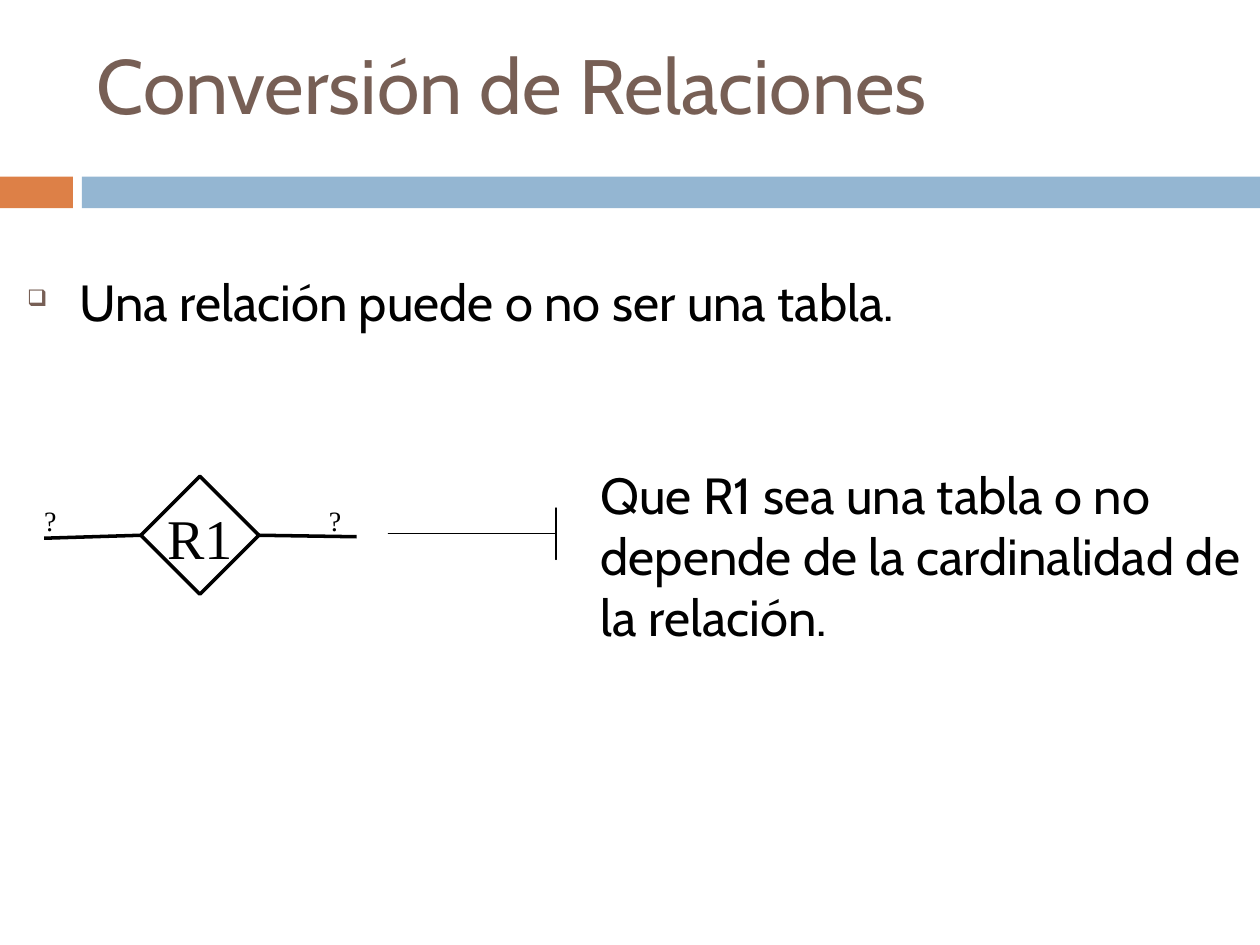
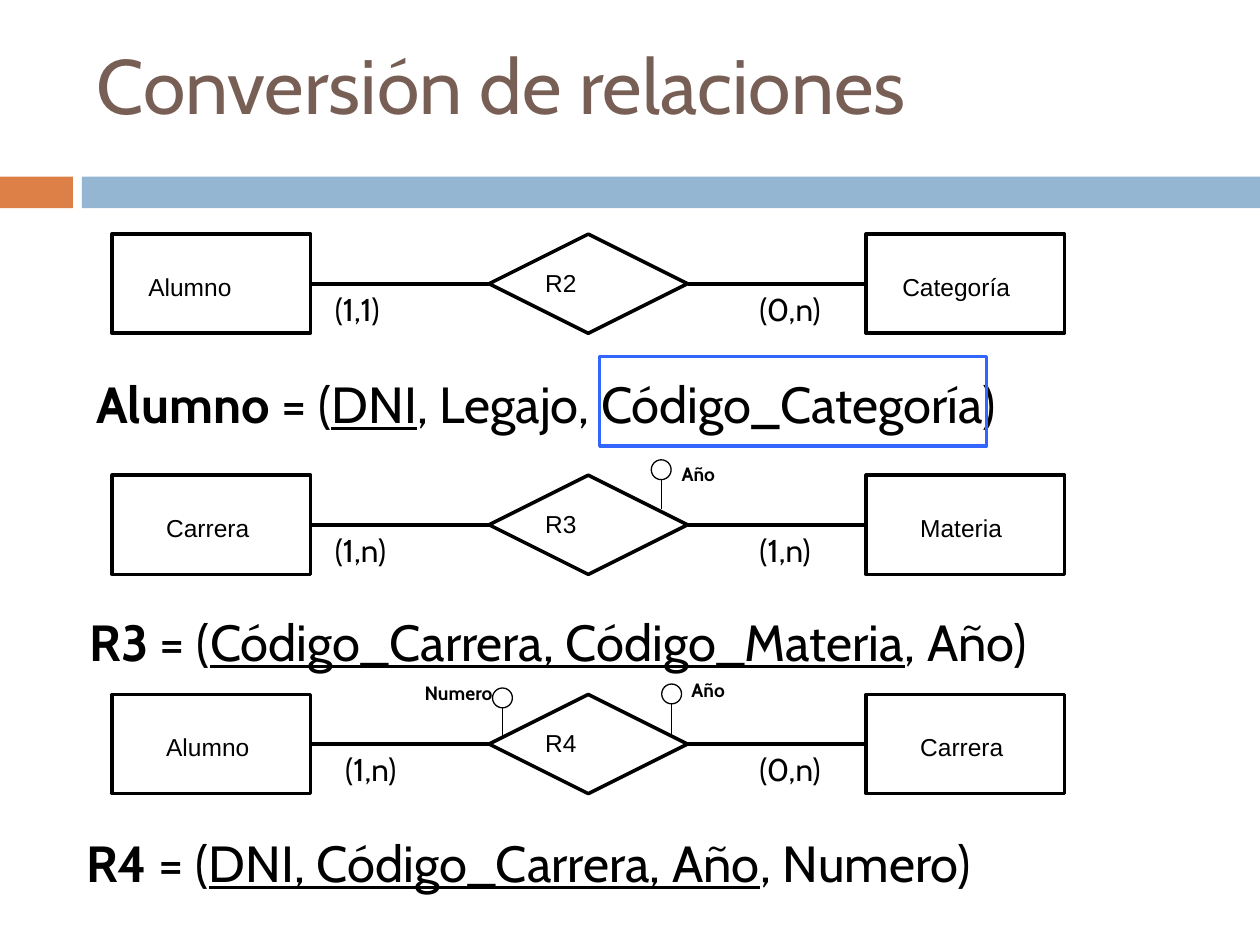
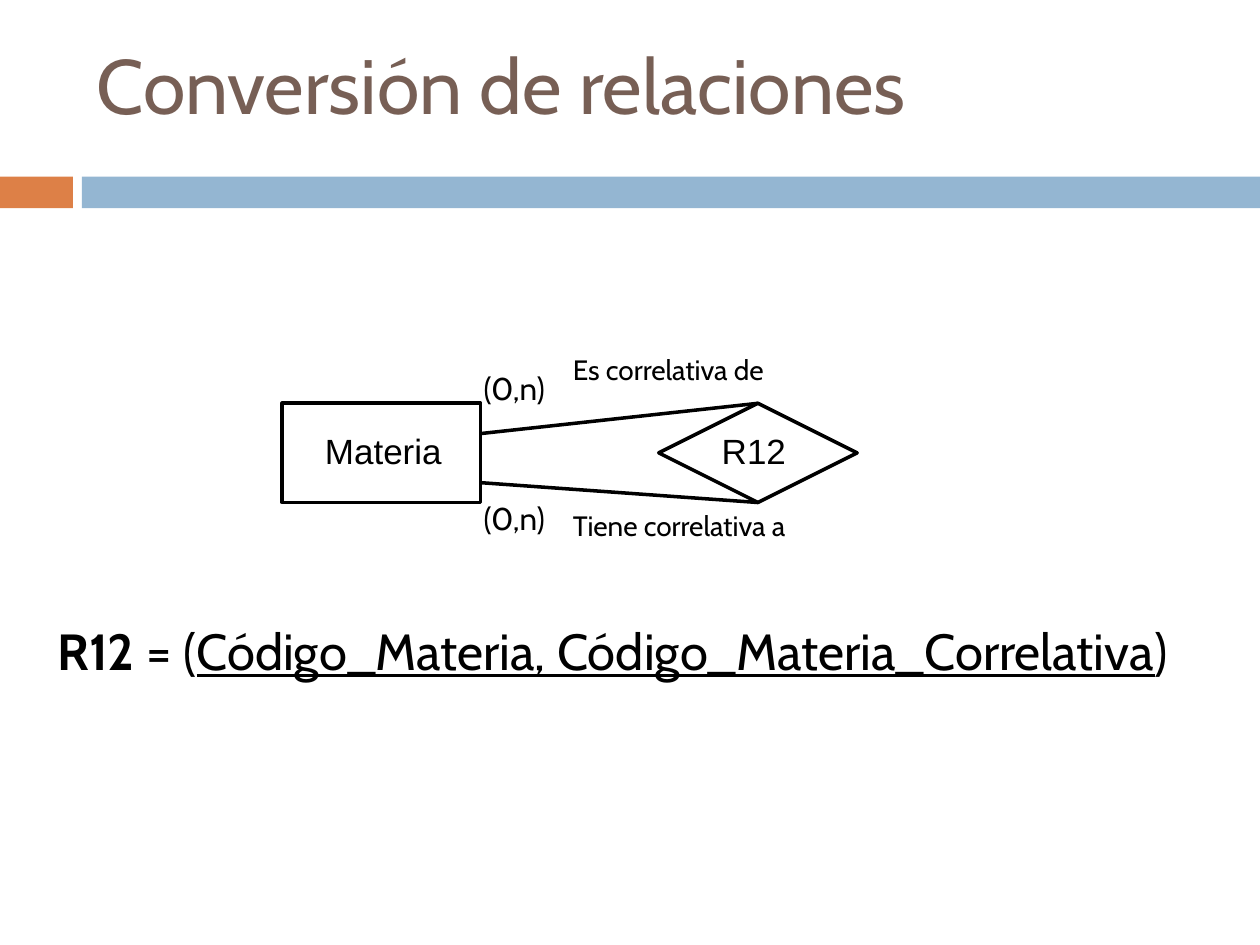
from lxml import etree
from pptx import Presentation
from pptx import util as u
from pptx.dml.color import RGBColor
from pptx.enum import shapes, text
from pptx.oxml import ns

BLACK = RGBColor(0x00, 0x00, 0x00)
BROWN = RGBColor(0x77, 0x5F, 0x55)
ORANGE = RGBColor(0xDD, 0x80, 0x47)
LIGHT_BLUE = RGBColor(0x94, 0xB6, 0xD2)
HIGHLIGHT_BLUE = RGBColor(0x33, 0x66, 0xFF)
BODY_FONT, ENTITY_FONT, SERIF_FONT = "Cabin", "Arial", "Times New Roman"
PRESET = shapes.MSO_SHAPE
STRAIGHT = shapes.MSO_CONNECTOR.STRAIGHT
TOP, LEFT, BOTTOM, RIGHT = range(4)


def add_text(slide, left, top, width, height, runs, size, font=BODY_FONT, colour=BLACK):
    """Add a wrapped text box; runs are (text, style), style being "", "b" or "u"."""
    box = slide.shapes.add_textbox(u.Cm(left), u.Cm(top), u.Cm(width), u.Cm(height))
    box.text_frame.word_wrap = True
    paragraph = box.text_frame.paragraphs[0]
    for content, style in runs:
        run = paragraph.add_run()
        run.text = content
        run.font.name, run.font.size = font, u.Pt(size)
        run.font.color.rgb = colour
        run.font.bold = style == "b"
        run.font.underline = style == "u"
    return box


def outline(shape, weight=2, colour=BLACK):
    """Leave only a plain line on a shape or connector, without fill or shadow."""
    if hasattr(shape, "fill"):
        shape.fill.background()
    shape.line.color.rgb = colour
    shape.line.width = u.Pt(weight)
    etree.SubElement(shape._element.spPr, ns.qn("a:effectLst"))
    return shape


presentation = Presentation()
presentation.slide_width, presentation.slide_height = u.Cm(25.4), u.Cm(19.05)

# Shared title and bands
slides = []
for title in ("Conversión de Relaciones", "Conversión de relaciones", "Conversión de relaciones"):
    slide = presentation.slides.add_slide(presentation.slide_layouts[6])
    for left, width, colour in ((0, 1.47, ORANGE), (1.65, 23.75, LIGHT_BLUE)):
        band = slide.shapes.add_shape(PRESET.RECTANGLE, u.Cm(left), u.Cm(3.56), u.Cm(width), u.Cm(0.64))
        band.shadow.inherit = False
        band.fill.solid()
        band.fill.fore_color.rgb = colour
        band.line.fill.background()
    add_text(slide, 1.7, 0.64, 22.66, 2.74, [(title, "")], 44, colour=BROWN)
    slides.append(slide)
intro_slide, examples_slide, recursive_slide = slides

# Slide 1: is a relation a table?
relation = outline(intro_slide.shapes.add_shape(
    PRESET.DIAMOND, u.Cm(2.84), u.Cm(9.6), u.Cm(2.38), u.Cm(2.38)))
add_text(intro_slide, 3.12, 10.03, 2.38, 0.94, [("R1", "")], 32, SERIF_FONT)
for side, end_x, end_y, mark_left in ((LEFT, 0.89, 10.85, 0.64), (RIGHT, 7.19, 10.82, 6.38)):
    connector = outline(intro_slide.shapes.add_connector(
        STRAIGHT, 0, 0, u.Cm(end_x), u.Cm(end_y)))
    connector.begin_connect(relation, side)
    add_text(intro_slide, mark_left, 10.02, 1.05, 0.94, [("?", "")], 16, SERIF_FONT)
arrow = outline(intro_slide.shapes.add_shape(
    PRESET.RIGHT_ARROW, u.Cm(7.83), u.Cm(10.24), u.Cm(3.38), u.Cm(1.04)), 0.75)
arrow.adjustments[0] = arrow.adjustments[1] = 0
add_text(intro_slide, 11.86, 9.22, 13.54, 3.94,
         [("Que R1 sea una tabla o no depende de la cardinalidad de la relación.", "")], 29)

statement = add_text(intro_slide, 0.3, 5.33, 25.1, 1.47,
                     [("Una relación puede o no ser una tabla.", "")], 29)
statement.text_frame.vertical_anchor = text.MSO_ANCHOR.MIDDLE
properties = statement.text_frame.paragraphs[0]._p.get_or_add_pPr()
properties.set("marL", str(u.Cm(1.05)))
properties.set("indent", str(-u.Cm(1.05)))
bullet_colour = etree.SubElement(properties, ns.qn("a:buClr"))
etree.SubElement(bullet_colour, ns.qn("a:srgbClr"), val=str(BROWN))
etree.SubElement(properties, ns.qn("a:buSzPct"), val="45000")
etree.SubElement(properties, ns.qn("a:buChar"), char="❑")

# Slide 2: three relations, each with the table that results
FIRST_LEFT, PITCH, NODE_WIDTH, NODE_HEIGHT = 2.26, 7.6, 4, 2
# top, node names, entity label indent, (cardinality, left) pairs, table left, table top, table text
RELATIONS = (
    (4.72, ("Alumno", "R2", "Categoría"), 0.48, (("(1,1)", 6.5), ("(0,n)", 15.06)), 1.7, 7.39,
     (("Alumno", "b"), (" = (", ""), ("DNI", "u"), (", Legajo, Código_Categoría)", ""))),
    (9.58, ("Carrera", "R3", "Materia"), 0.84, (("(1,n)", 6.5), ("(1,n)", 15.06)), 1.55, 12.19,
     (("R3", "b"), (" = (", ""), ("Código_Carrera, Código_Materia", "u"), (", Año)", ""))),
    (14, ("Alumno", "R4", "Carrera"), 0.84, (("(1,n)", 6.71), ("(0,n)", 15.06)), 1.5, 16.64,
     (("R4", "b"), (" = (", ""), ("DNI, Código_Carrera, Año", "u"), (", Numero)", ""))),
)
for top, names, indent, cardinalities, table_left, table_top, table_runs in RELATIONS:
    nodes = []
    for column, name in enumerate(names):
        left = FIRST_LEFT + column * PITCH
        is_relation = column == 1
        preset = PRESET.FLOWCHART_DECISION if is_relation else PRESET.RECTANGLE
        nodes.append(outline(examples_slide.shapes.add_shape(
            preset, u.Cm(left), u.Cm(top), u.Cm(NODE_WIDTH), u.Cm(NODE_HEIGHT))))
        label_left = left + (0.88 if is_relation else indent)
        label_top = top + (0.56 if is_relation else 0.64)
        add_text(examples_slide, label_left, label_top, 3, 0.84, [(name, "")], 14, ENTITY_FONT)
    for start, end in zip(nodes, nodes[1:]):
        connector = outline(examples_slide.shapes.add_connector(STRAIGHT, 0, 0, 0, 0))
        connector.begin_connect(start, RIGHT)
        connector.end_connect(end, LEFT)
    for cardinality, left in cardinalities:
        add_text(examples_slide, left, top + 1, 2.79, 1.02, [(cardinality, "")], 18)
    add_text(examples_slide, table_left, table_top, 25.4, 1.47, table_runs, 29)

CIRCLE = 0.4
for name, left, top, label_left, label_top in (("Año", 13.13, 9.27, 13.49, 9.19),
                                               ("Año", 13.34, 13.79, 13.69, 13.54),
                                               ("Numero", 9.93, 13.87, 8.31, 13.61)):
    outline(examples_slide.shapes.add_shape(
        PRESET.OVAL, u.Cm(left), u.Cm(top), u.Cm(CIRCLE), u.Cm(CIRCLE)), 0.75)
    stem_x, stem_top = left + CIRCLE / 2, top + CIRCLE
    outline(examples_slide.shapes.add_connector(
        STRAIGHT, u.Cm(stem_x), u.Cm(stem_top), u.Cm(stem_x), u.Cm(stem_top + 0.6)), 0.75)
    add_text(examples_slide, label_left, label_top, 2.79, 0.71, [(name, "b")], 11)
outline(examples_slide.shapes.add_shape(
    PRESET.RECTANGLE, u.Cm(12.09), u.Cm(7.19), u.Cm(7.8), u.Cm(1.8)), colour=HIGHLIGHT_BLUE)

# Slide 3: a relation of an entity with itself
for name, preset, left, label_left in (("Materia", PRESET.RECTANGLE, 5.69, 6.3),
                                       ("R12", PRESET.FLOWCHART_DECISION, 13.28, 14.3)):
    node = outline(recursive_slide.shapes.add_shape(
        preset, u.Cm(left), u.Cm(8.13), u.Cm(NODE_WIDTH), u.Cm(NODE_HEIGHT)))
    add_text(recursive_slide, label_left, 8.53, 3, 1.09, [(name, "")], 20, ENTITY_FONT)
for side, entity_y, cardinality_top, role, role_top in (
        (BOTTOM, 9.73, 9.93, "Tiene correlativa a", 10.13),
        (TOP, 8.74, 7.32, "Es correlativa de", 6.99)):
    connector = outline(recursive_slide.shapes.add_connector(
        STRAIGHT, 0, 0, u.Cm(9.69), u.Cm(entity_y)))
    connector.begin_connect(node, side)
    add_text(recursive_slide, 9.5, cardinality_top, 2.79, 1.02, [("(0,n)", "")], 18)
    add_text(recursive_slide, 11.3, role_top, 5.2, 1.6, [(role, "")], 16)
add_text(recursive_slide, 0.91, 12.37, 25.4, 2.72,
         [("R12", "b"), (" = (", ""), ("Código_Materia, Código_Materia_Correlativa", "u"), (")", "")], 29)

presentation.save("out.pptx")
